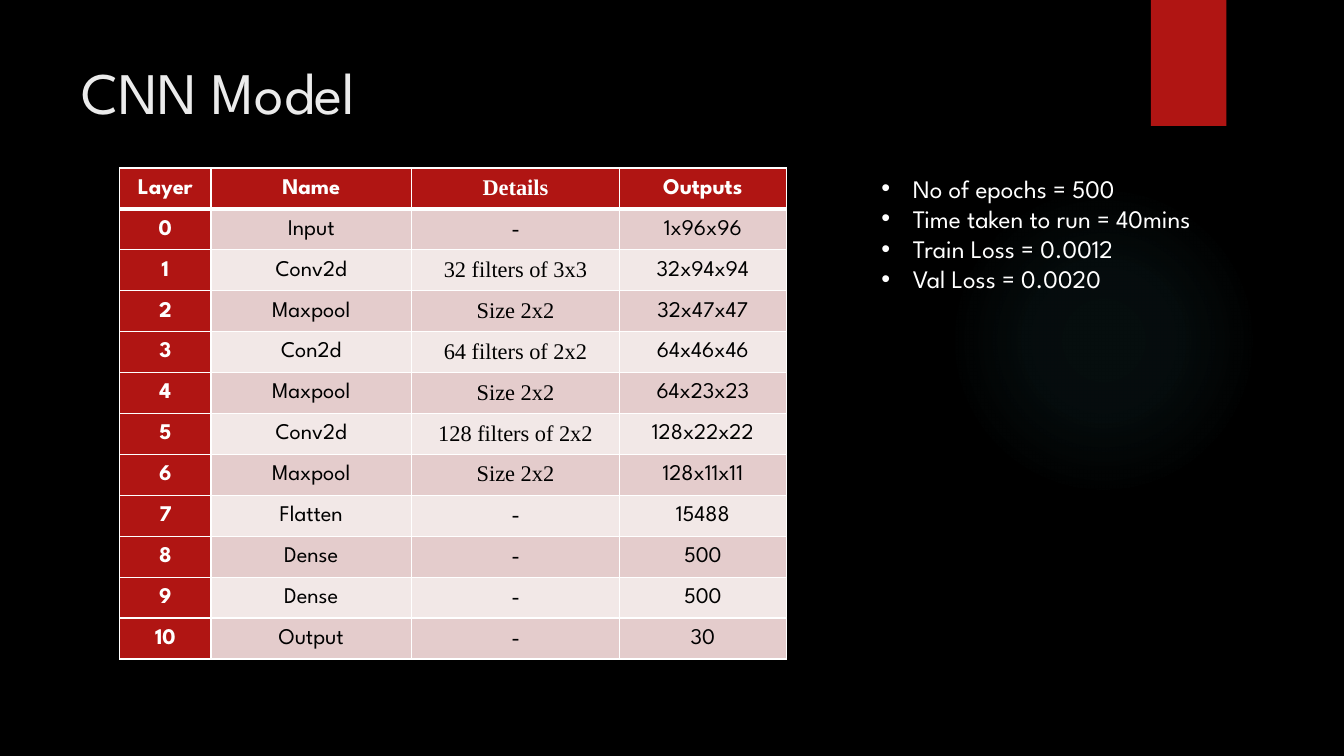
from dataclasses import dataclass
from typing import NamedTuple

from pptx import Presentation, oxml
from pptx import util as u
from pptx.dml.color import RGBColor
from pptx.enum import shapes, text
from pptx.oxml import ns

PX = 9525  # EMU per px, 96 px to the inch

COLORS = {
    "black": "000000",
    "white": "FFFFFF",
    "title": "EBEBEB",
    "red": "B01513",
    "band_dark": "E4CCCC",
    "band_light": "F2E8E7",
    "glow": "50B9C1",
}
SANS, SERIF = "League Spartan", "Times New Roman"


class Box(NamedTuple):
    x: int
    y: int
    w: int
    h: int

    def emu(self) -> list[int]:
        return [v * PX for v in self]


class Layer(NamedTuple):
    number: str
    name: str
    details: str
    outputs: str


@dataclass
class Style:
    size: int
    color: str
    font: str = SANS
    bold: bool = False


HEADER = Layer("Layer", "Name", "Details", "Outputs")
LAYERS = [
    Layer("0", "Input", "-", "1x96x96"),
    Layer("1", "Conv2d", "32 filters of 3x3", "32x94x94"),
    Layer("2", "Maxpool", "Size 2x2", "32x47x47"),
    Layer("3", "Con2d", "64 filters of 2x2", "64x46x46"),
    Layer("4", "Maxpool", "Size 2x2", "64x23x23"),
    Layer("5", "Conv2d", "128 filters of 2x2", "128x22x22"),
    Layer("6", "Maxpool", "Size 2x2", "128x11x11"),
    Layer("7", "Flatten", "-", "15488"),
    Layer("8", "Dense", "-", "500"),
    Layer("9", "Dense", "-", "500"),
    Layer("10", "Output", "-", "30"),
]
RESULTS = [
    "No of epochs = 500",
    "Time taken to run = 40mins",
    "Train Loss = 0.0012",
    "Val Loss = 0.0020",
]
COLUMNS = [87, 191, 198, 159]
ROW_HEIGHT = 39
BULLET_INDENT = 30
GLOW_STOPS = [(0, 7), (36, 6), (69, 0)]  # position and opacity, percent


def rgb(name: str) -> RGBColor:
    return RGBColor.from_string(COLORS[name])


def add_run(p, words: str, style: Style) -> None:
    r = p.add_run()
    r.text = words
    r.font.name = style.font
    r.font.size = u.Pt(style.size)
    r.font.bold = style.bold
    r.font.color.rgb = rgb(style.color)


def add_shape(slide, kind, box: Box, color: str):
    s = slide.shapes.add_shape(kind, *box.emu())
    s.shadow.inherit = False
    s.fill.solid()
    s.fill.fore_color.rgb = rgb(color)
    s.line.fill.background()
    return s


def add_glow(slide, box: Box) -> None:
    s = add_shape(slide, shapes.MSO_SHAPE.OVAL, box, "glow")
    stops = "".join(
        f'<a:gs pos="{pos * 1000}"><a:srgbClr val="{COLORS["glow"]}">'
        f'<a:alpha val="{alpha * 1000}"/></a:srgbClr></a:gs>'
        for pos, alpha in GLOW_STOPS
    )
    gradient = oxml.parse_xml(
        f'<a:gradFill {ns.nsdecls("a")}><a:gsLst>{stops}</a:gsLst><a:path path="circle">'
        '<a:fillToRect l="50000" t="50000" r="50000" b="50000"/></a:path></a:gradFill>'
    )
    solid = s.element.spPr.find(ns.qn("a:solidFill"))
    solid.getparent().replace(solid, gradient)


def add_text(slide, box: Box, lines: list[str], style: Style, bullets: bool = False) -> None:
    tf = slide.shapes.add_textbox(*box.emu()).text_frame
    tf.word_wrap = True
    for i, line in enumerate(lines):
        p = tf.paragraphs[0] if i == 0 else tf.add_paragraph()
        add_run(p, line, style)
        if bullets:
            pPr = p._p.get_or_add_pPr()
            pPr.set("marL", str(BULLET_INDENT * PX))
            pPr.set("indent", str(-BULLET_INDENT * PX))
            pPr.append(oxml.parse_xml(f'<a:buFont {ns.nsdecls("a")} typeface="Arial"/>'))
            pPr.append(oxml.parse_xml(f'<a:buChar {ns.nsdecls("a")} char="•"/>'))


def set_borders(cell, top: int, bottom: int) -> None:
    tcPr = cell._tc.get_or_add_tcPr()
    for side, points in {"L": 1, "R": 1, "T": top, "B": bottom}.items():
        tcPr.append(oxml.parse_xml(
            f'<a:ln{side} {ns.nsdecls("a")} w="{u.Pt(points)}"><a:solidFill>'
            f'<a:srgbClr val="{COLORS["white"]}"/></a:solidFill></a:ln{side}>'
        ))


def fill_cell(cell, words: str, row: int, col: int) -> None:
    heading = row == 0 or col == 0
    set_borders(cell, top=3 if row == 1 else 1, bottom=3 if row == 0 else 1)
    cell.fill.solid()
    band = "band_dark" if row % 2 else "band_light"
    cell.fill.fore_color.rgb = rgb("red" if heading else band)
    cell.margin_left = cell.margin_right = 7 * PX
    cell.margin_top = cell.margin_bottom = 0
    cell.vertical_anchor = text.MSO_ANCHOR.MIDDLE
    p = cell.text_frame.paragraphs[0]
    p.alignment = text.PP_ALIGN.CENTER
    p.line_spacing = 0.95
    p.space_after = u.Pt(6)
    font = SERIF if col == 2 else SANS
    add_run(p, words, Style(16, "white" if heading else "black", font, heading))


def add_layer_table(slide, x: int, y: int) -> None:
    rows = [HEADER, *LAYERS]
    box = Box(x, y, sum(COLUMNS), ROW_HEIGHT * len(rows))
    table = slide.shapes.add_table(len(rows), len(COLUMNS), *box.emu()).table
    for column, width in zip(table.columns, COLUMNS):
        column.width = width * PX
    for i, layer in enumerate(rows):
        table.rows[i].height = ROW_HEIGHT * PX
        for j, words in enumerate(layer):
            fill_cell(table.cell(i, j), words, i, j)


def main() -> None:
    prs = Presentation()
    prs.slide_width, prs.slide_height = 1280 * PX, 720 * PX
    slide = prs.slides.add_slide(prs.slide_layouts[6])

    # Backdrop
    slide.background.fill.solid()
    slide.background.fill.fore_color.rgb = rgb("black")
    add_glow(slide, Box(903, 176, 296, 296))
    add_shape(slide, shapes.MSO_SHAPE.RECTANGLE, Box(1096, 0, 72, 120), "red")

    # Title, layer table and training results
    add_text(slide, Box(68, 48, 988, 147), ["CNN Model"], Style(42, "title"))
    add_layer_table(slide, 114, 160)
    add_text(slide, Box(830, 160, 361, 126), RESULTS, Style(18, "white"), bullets=True)

    prs.save("out.pptx")


if __name__ == "__main__":
    main()
